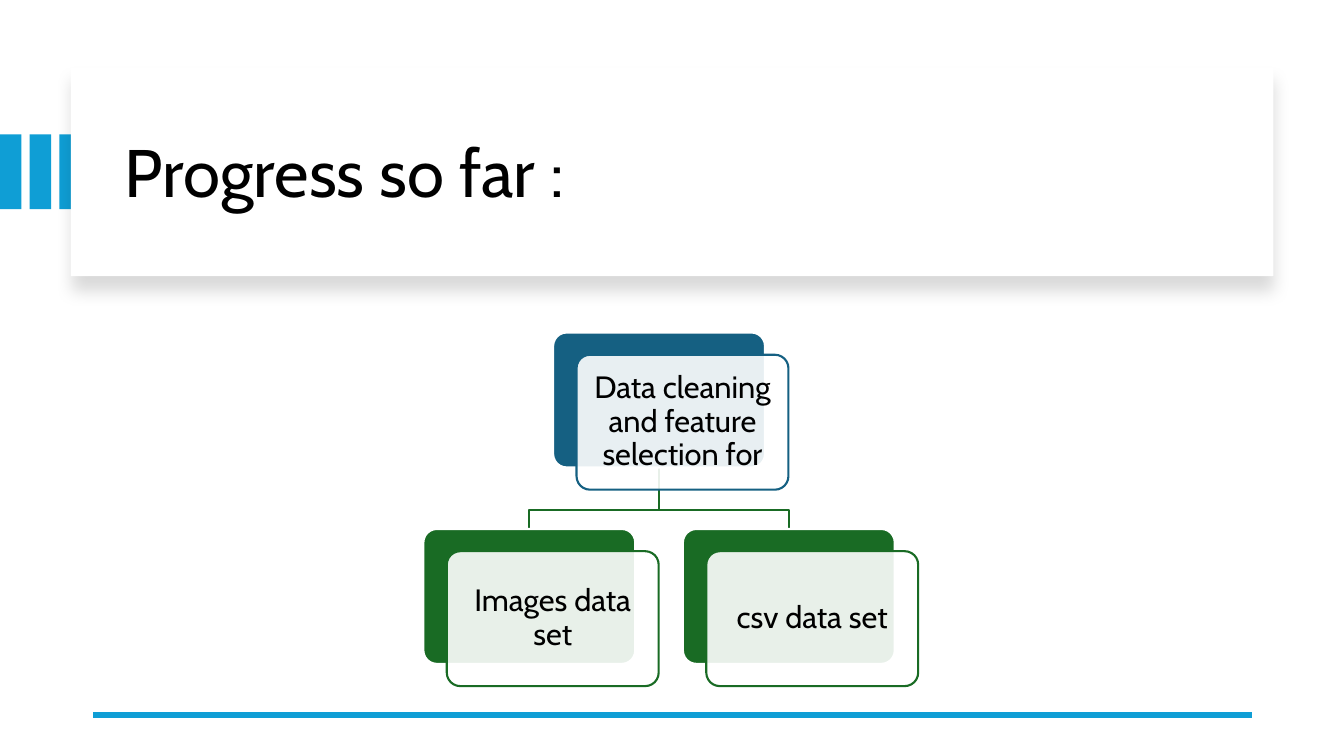
from lxml.etree import SubElement
from pptx import Presentation
from pptx.dml.color import RGBColor
from pptx.enum.shapes import MSO_CONNECTOR, MSO_SHAPE
from pptx.enum.text import MSO_ANCHOR, PP_ALIGN
from pptx.oxml.ns import qn
from pptx.util import Cm, Pt

ACCENT, BLUE, GREEN, WHITE, BLACK = "0F9ED5", "156082", "196B24", "FFFFFF", "000000"
CARD_WIDTH, CARD_HEIGHT = 5.34, 3.4
ROOT_LEFT, ROOT_TOP, CHILD_TOP = 13.94, 8.38, 13.33
CHILD_STEP = 3.27
FRONT_SHIFT_X, FRONT_SHIFT_Y = 0.59, 0.56
BRANCH_TOP, BRANCH_BEND = 11.78, 12.85


def color(code):
    return RGBColor.from_string(code)


def apply_format(target, values):
    for name, value in values.items():
        setattr(target, name, value)


class ProgressSlide:
    font_name = "Cabin"
    line_spacing = 0.9

    def __init__(self, deck):
        self.shapes = deck.slides.add_slide(deck.slide_layouts[6]).shapes

    def outline(self, shape, code, width):
        if code:
            shape.line.color.rgb = color(code)
            shape.line.width = Pt(width)
        else:
            shape.line.fill.background()

    def box(self, left, top, width, height, fill, line=None, rounded=False, opacity=100):
        preset = MSO_SHAPE.ROUNDED_RECTANGLE if rounded else MSO_SHAPE.RECTANGLE
        shape = self.shapes.add_shape(preset, Cm(left), Cm(top), Cm(width), Cm(height))
        shape.shadow.inherit = False
        shape.fill.solid()
        shape.fill.fore_color.rgb = color(fill)
        if rounded:
            shape.adjustments[0] = 0.1
        if opacity < 100:
            tint = shape._element.spPr.find(qn("a:solidFill"))[0]
            SubElement(tint, qn("a:alpha"), val=str(opacity * 1000))
        self.outline(shape, line, 1.5)
        return shape

    def panel(self, left, top, width, height):
        shape = self.box(left, top, width, height, WHITE)
        effects = shape._element.spPr.find(qn("a:effectLst"))
        shadow = SubElement(effects, qn("a:outerShdw"), blurRad=str(Pt(11)),
                            dist=str(Pt(10)), dir="5400000", algn="t", rotWithShape="0")
        tint = SubElement(shadow, qn("a:srgbClr"), val=BLACK)
        SubElement(tint, qn("a:alpha"), val="15000")

    def label(self, shape, words, size, align, inset_x, inset_y):
        frame = shape.text_frame
        apply_format(frame, {
            "word_wrap": True, "vertical_anchor": MSO_ANCHOR.MIDDLE,
            "margin_left": Cm(inset_x), "margin_right": Cm(inset_x),
            "margin_top": Cm(inset_y), "margin_bottom": Cm(inset_y),
        })
        paragraph = frame.paragraphs[0]
        apply_format(paragraph, {"alignment": align, "line_spacing": self.line_spacing})
        run = paragraph.add_run()
        run.text = words
        apply_format(run.font, {"name": self.font_name, "size": Pt(size)})
        run.font.color.rgb = color(BLACK)

    def title(self, words, left, top, width, height):
        heading = self.shapes.add_textbox(Cm(left), Cm(top), Cm(width), Cm(height))
        self.label(heading, words, 48, PP_ALIGN.LEFT, 0.25, 0.13)

    def rule(self, left, right, y):
        line = self.shapes.add_connector(
            MSO_CONNECTOR.STRAIGHT, Cm(right), Cm(y), Cm(left), Cm(y))
        self.outline(line, ACCENT, 4.5)
        SubElement(line._element.spPr, qn("a:effectLst"))

    def branch(self, start_x, end_x):
        builder = self.shapes.build_freeform(Cm(start_x), Cm(BRANCH_TOP))
        corners = [(start_x, BRANCH_BEND), (end_x, BRANCH_BEND), (end_x, CHILD_TOP)]
        builder.add_line_segments([(Cm(x), Cm(y)) for x, y in corners], close=False)
        shape = builder.convert_to_shape()
        shape.shadow.inherit = False
        shape.fill.background()
        self.outline(shape, GREEN, 1.5)

    def card(self, words, left, top, accent):
        self.box(left, top, CARD_WIDTH, CARD_HEIGHT, accent, WHITE, True)
        front = self.box(left + FRONT_SHIFT_X, top + FRONT_SHIFT_Y,
                         CARD_WIDTH, CARD_HEIGHT, WHITE, accent, True, 90)
        self.label(front, words, 22, PP_ALIGN.CENTER, 0.23, 0.23)


def main():
    deck = Presentation()
    apply_format(deck, {"slide_width": Cm(33.87), "slide_height": Cm(19.05)})
    slide = ProgressSlide(deck)

    for stripe in range(3):
        slide.box(stripe * 0.75, 3.39, 0.54, 1.88, ACCENT)
    slide.panel(1.79, 1.7, 30.3, 5.26)
    slide.title("Progress so far :", 2.9, 2.26, 28.27, 4.32)
    slide.rule(2.34, 31.55, 18.01)

    root_center = ROOT_LEFT + CARD_WIDTH / 2
    for side in (1, -1):
        slide.branch(root_center, root_center + side * CHILD_STEP)
    slide.card("Data cleaning and feature selection for", ROOT_LEFT, ROOT_TOP, BLUE)
    for side, words in ((-1, "Images data set"), (1, "csv data set")):
        slide.card(words, ROOT_LEFT + side * CHILD_STEP, CHILD_TOP, GREEN)

    deck.save("out.pptx")


if __name__ == "__main__":
    main()
